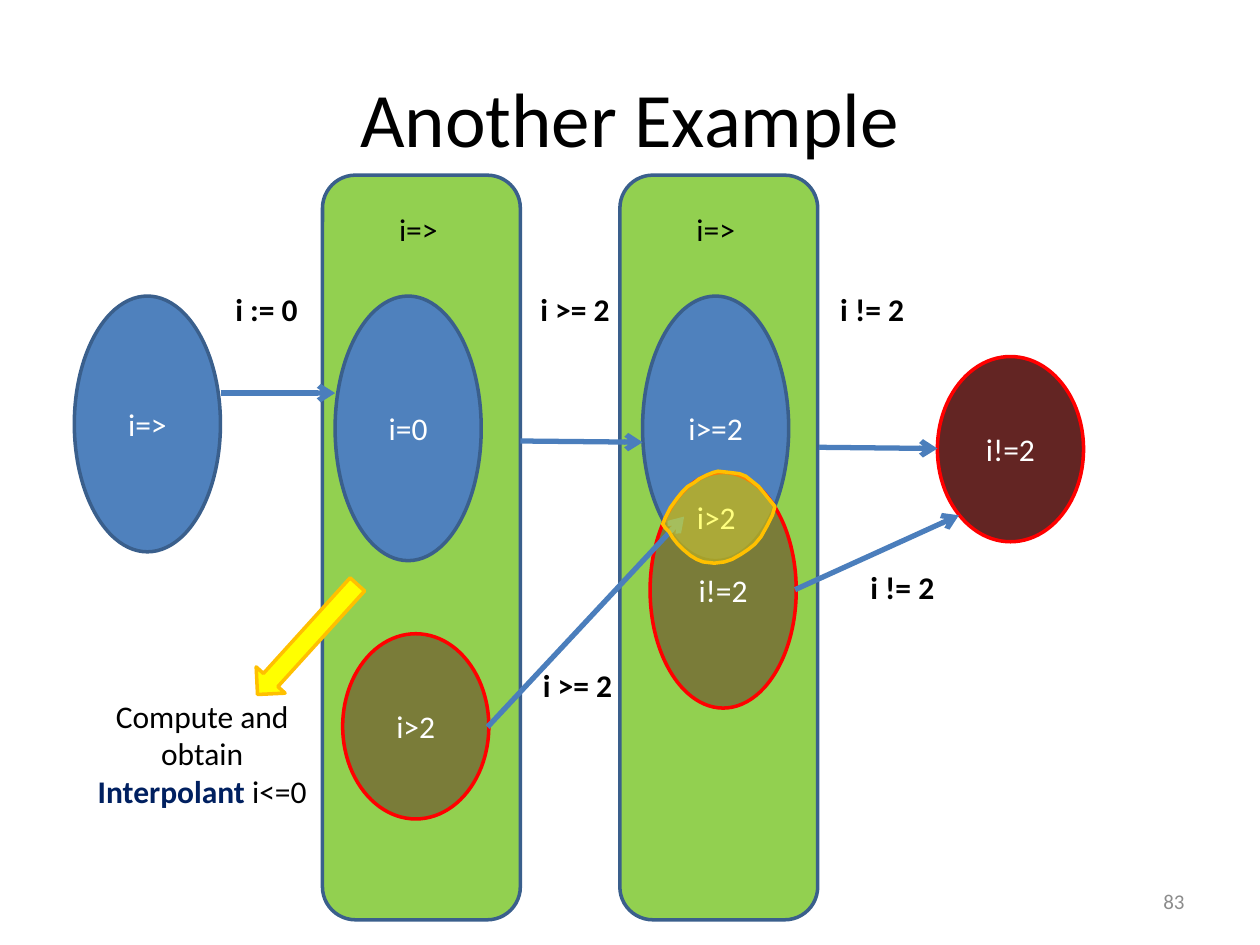
from lxml import etree
from pptx import Presentation
from pptx.dml.color import RGBColor
from pptx.enum import shapes as sh, text as tx
from pptx.oxml.ns import qn
from pptx.util import Inches, Pt

BLUE, EDGE, ARROW = "4F81BD", "3A5F8C", "4B7EBC"
GREEN, MAROON, RED = "92D050", "632523", "FF0000"
YELLOW, GOLD, NAVY = "FFFF00", "FFC000", "002060"
WHITE, BLACK, GREY = "FFFFFF", "000000", "8C8C8C"
KIND, ALIGN = sh.MSO_SHAPE, tx.PP_ALIGN

# Outline of the overlap of the two states, in hundredths of an inch
OVERLAP = [
    (526, 416), (528, 411), (532, 403), (537, 396), (541, 391), (546, 386),
    (551, 383), (555, 380), (561, 377), (566, 375), (570, 374), (579, 375),
    (587, 376), (592, 378), (597, 382), (602, 386), (607, 392), (611, 397),
    (615, 402), (613, 409), (609, 417), (604, 426), (599, 432), (594, 436),
    (588, 440), (581, 444), (575, 446), (567, 447), (558, 446), (553, 444),
    (548, 441), (542, 436), (538, 432), (534, 427), (531, 422), (528, 419)]


def tint(color, code):
    color.rgb = RGBColor.from_string(code)


def style(run, size, code, bold=False):
    run.font.name = "Calibri"
    run.font.size = Pt(size)
    run.font.bold = bold
    tint(run.font.color, code)


def write(frame, words, size=18, code=BLACK, bold=False, align=ALIGN.CENTER):
    frame.text = words
    for para in frame.paragraphs:
        para.alignment = align
        for run in para.runs:
            style(run, size, code, bold)


def paint(shape, fill, line, alpha=None):
    """Set fill and outline; alpha is the opacity in percent."""
    shape.shadow.inherit = False
    shape.fill.solid()
    tint(shape.fill.fore_color, fill)
    if alpha:
        tone = shape.fill._xPr.find(qn("a:solidFill"))[0]
        etree.SubElement(tone, qn("a:alpha"), val=str(alpha * 1000))
    tint(shape.line.color, line)
    shape.line.width = Pt(2)


def add_shape(slide, kind, box, fill, line, alpha=None):
    shape = slide.shapes.add_shape(kind, *map(Inches, box))
    paint(shape, fill, line, alpha)
    return shape


def add_state(slide, words, box, fill=BLUE, line=EDGE, alpha=None):
    shape = add_shape(slide, KIND.OVAL, box, fill, line, alpha)
    shape.text_frame.vertical_anchor = tx.MSO_ANCHOR.MIDDLE
    write(shape.text_frame, words, code=WHITE)


def add_text(slide, words, box, **look):
    frame = slide.shapes.add_textbox(*map(Inches, box)).text_frame
    frame.word_wrap = False
    frame.auto_size = tx.MSO_AUTO_SIZE.SHAPE_TO_FIT_TEXT
    write(frame, words, **look)
    return frame


def add_guard(slide, words, left, top, width):
    add_text(slide, words, (left, top, width, 0.4), bold=True, align=ALIGN.LEFT)


def add_arrow(slide, *ends):
    line = slide.shapes.add_connector(sh.MSO_CONNECTOR.STRAIGHT, *map(Inches, ends))
    tint(line.line.color, ARROW)
    line.line.width = Pt(3)
    etree.SubElement(line.line._get_or_add_ln(), qn("a:tailEnd"), type="arrow")
    etree.SubElement(line._element.spPr, qn("a:effectLst"))


def add_overlap(slide):
    pen = slide.shapes.build_freeform(*OVERLAP[0], scale=Inches(0.01))
    pen.add_line_segments(OVERLAP[1:], close=True)
    paint(pen.convert_to_shape(), YELLOW, GOLD, 50)


def add_title(slide, words):
    title = slide.shapes.title
    title.left, title.top, title.width, title.height = map(Inches, (0.5, 0.3, 9, 1.25))
    title.text_frame.vertical_anchor = tx.MSO_ANCHOR.MIDDLE
    write(title.text_frame, words, size=44)


def add_note(slide):
    frame = add_text(slide, "Compute and\nobtain\nInterpolant ", (0.67, 5.48, 1.87, 1.01))
    last = frame.paragraphs[-1]
    style(last.runs[0], 18, NAVY, True)
    run = last.add_run()
    run.text = "i<=0"
    style(run, 18, BLACK)


def add_number(slide, words):
    frame = add_text(slide, words, (7.17, 6.95, 2.33, 0.4),
                     size=12, code=GREY, align=ALIGN.RIGHT)
    frame.word_wrap = True
    frame.auto_size = tx.MSO_AUTO_SIZE.NONE
    frame.vertical_anchor = tx.MSO_ANCHOR.MIDDLE


def main():
    deck = Presentation()
    deck.slide_width, deck.slide_height = Inches(10), Inches(7.5)
    slide = deck.slides.add_slide(deck.slide_layouts[5])
    add_title(slide, "Another Example")

    for left in (2.56, 4.92):
        add_shape(slide, KIND.ROUNDED_RECTANGLE, (left, 1.39, 1.57, 5.91), GREEN, EDGE)
        add_text(slide, "i=>", (left + 0.47, 1.62, 0.58, 0.4))

    add_state(slide, "i=>", (0.59, 2.35, 1.16, 2.03))
    add_state(slide, "i=0", (2.66, 2.35, 1.16, 2.1))
    add_state(slide, "i>=2", (5.1, 2.35, 1.16, 2.1))
    add_state(slide, "i!=2", (7.44, 2.83, 1.16, 1.47), MAROON, RED)
    add_arrow(slide, 1.75, 3.12, 2.66, 3.12)
    add_arrow(slide, 4.13, 3.5, 5.1, 3.51)
    add_arrow(slide, 6.5, 3.55, 7.44, 3.56)

    add_state(slide, "i!=2", (5.16, 3.75, 1.16, 1.87), MAROON, RED, 49)
    add_state(slide, "i>2", (2.72, 5.03, 1.16, 1.47), MAROON, RED, 49)
    add_text(slide, "i>2", (5.43, 3.9, 0.51, 0.4), code=WHITE)
    add_arrow(slide, 6.31, 4.68, 7.61, 4.09)
    add_arrow(slide, 3.87, 5.77, 5.43, 4.1)

    add_guard(slide, "i := 0", 1.77, 2.25, 0.7)
    add_guard(slide, "i >= 2", 4.19, 2.25, 0.76)
    add_guard(slide, "i != 2", 6.57, 2.25, 0.72)
    add_guard(slide, "i != 2", 6.81, 4.46, 0.72)
    add_guard(slide, "i >= 2", 4.21, 5.24, 0.76)

    add_overlap(slide)
    pointer = add_shape(slide, KIND.RIGHT_ARROW, (1.85, 4.92, 1.18, 0.31), YELLOW, GOLD)
    pointer.rotation = 132.2
    add_note(slide)
    add_number(slide, "83")
    deck.save("out.pptx")


if __name__ == "__main__":
    main()
